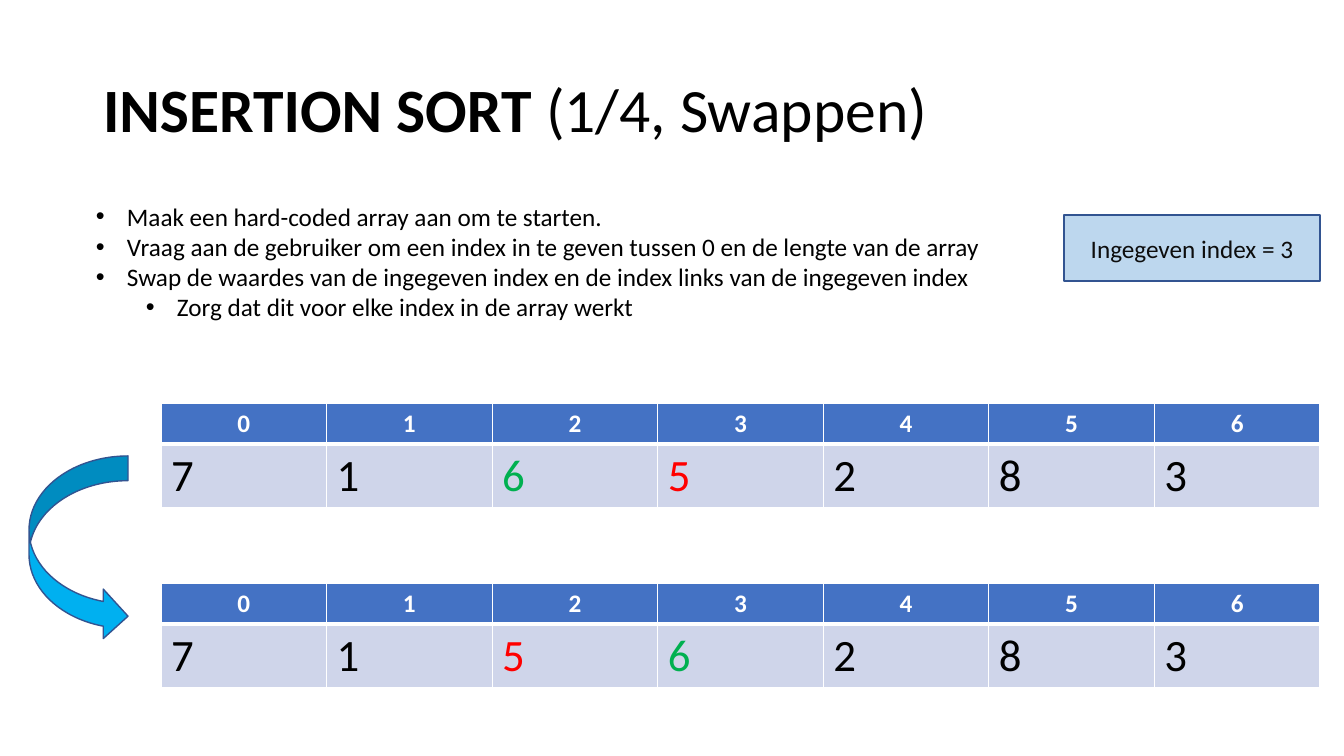
from dataclasses import dataclass

from lxml.etree import SubElement
from pptx import Presentation
from pptx.dml.color import RGBColor
from pptx.enum.shapes import MSO_SHAPE
from pptx.enum.text import MSO_ANCHOR, MSO_AUTO_SIZE, PP_ALIGN
from pptx.oxml.ns import qn
from pptx.util import Emu, Pt

TITLE = [("INSERTION SORT ", True), ("(1/4, Swappen)", False)]
STEPS = [
    (0, "Maak een hard-coded array aan om te starten."),
    (0, "Vraag aan de gebruiker om een index in te geven tussen 0 en de lengte van de array"),
    (0, "Swap de waardes van de ingegeven index en de index links van de ingegeven index"),
    (1, "Zorg dat dit voor elke index in de array werkt"),
]
INDEX_NOTE = "Ingegeven index = 3"
ARRAYS = [[7, 1, 6, 5, 2, 8, 3], [7, 1, 5, 6, 2, 8, 3]]


@dataclass(frozen=True)
class Theme:
    font: str = "Calibri"
    title_size: int = 44
    text_size: int = 18
    value_size: int = 32
    black: str = "000000"
    white: str = "FFFFFF"
    header: str = "4472C4"
    value_fill: str = "CFD5EA"
    note_fill: str = "BDD7EE"
    note_text: str = "0D0D0D"
    outline: str = "325491"
    arrow: str = "00B0F0"


THEME = Theme()
SWAP_COLORS = {6: "00B050", 5: "FF0000"}

# Places in px: left, top, width, height
SLIDE_SIZE = (1344, 756)
TITLE_AT = (93, 40, 1159, 146)
STEPS_AT = (86, 196, 1107, 132)
NOTE_AT = (1064, 215, 256, 66)
ARROW_AT = (29, 456, 99, 185)
TABLE_LEFT, TABLE_TOP, TABLE_WIDTH, TABLE_STEP = 161, 403, 1159, 180
ROW_HEIGHTS = (41, 64)
BULLET_INDENT, LEVEL_INDENT = 31, 50


def px(length):
    return Emu(round(length * 914400 / 100.8))


def place(box):
    return [px(length) for length in box]


def color(code):
    return RGBColor.from_string(code)


def set_font(target, size, code, bold=False):
    font = target.font
    font.name, font.size, font.bold = THEME.font, Pt(size), bold
    font.color.rgb = color(code)


def add_title(slide):
    title = slide.shapes.title
    title.left, title.top, title.width, title.height = place(TITLE_AT)
    frame = title.text_frame
    frame.auto_size = MSO_AUTO_SIZE.NONE
    frame.vertical_anchor = MSO_ANCHOR.MIDDLE
    para = frame.paragraphs[0]
    para.alignment, para.line_spacing = PP_ALIGN.LEFT, 0.9
    set_font(para, THEME.title_size, THEME.black)
    for text, bold in TITLE:
        span = para.add_run()
        span.text, span.font.bold = text, bold


def add_steps(slide):
    frame = slide.shapes.add_textbox(*place(STEPS_AT)).text_frame
    frame.word_wrap = True
    for number, (level, text) in enumerate(STEPS):
        para = frame.add_paragraph() if number else frame.paragraphs[0]
        para.text, para.level = text, level
        properties = para._p.get_or_add_pPr()
        properties.set("marL", str(px(BULLET_INDENT + level * LEVEL_INDENT)))
        properties.set("indent", str(-px(BULLET_INDENT)))
        SubElement(properties, qn("a:buFont")).set("typeface", "Arial")
        SubElement(properties, qn("a:buChar")).set("char", "•")
        set_font(para, THEME.text_size, THEME.black)


def add_outlined(slide, kind, box, fill):
    shape = slide.shapes.add_shape(kind, *place(box))
    shape.shadow.inherit = False
    shape.fill.solid()
    shape.fill.fore_color.rgb = color(fill)
    shape.line.color.rgb = color(THEME.outline)
    shape.line.width = Pt(1)
    return shape


def add_index_note(slide):
    frame = add_outlined(slide, MSO_SHAPE.RECTANGLE, NOTE_AT, THEME.note_fill).text_frame
    frame.vertical_anchor = MSO_ANCHOR.MIDDLE
    para = frame.paragraphs[0]
    para.text, para.alignment = INDEX_NOTE, PP_ALIGN.CENTER
    set_font(para, THEME.text_size, THEME.note_text)


def set_borders(cell, **widths):
    """Draw white borders, 1 pt unless a side (L, R, T, B) is given a width."""
    properties = cell._tc.get_or_add_tcPr()
    for position, side in enumerate("LRTB"):
        line = properties.makeelement(qn(f"a:ln{side}"), {"w": str(Pt(widths.get(side, 1)))})
        fill = SubElement(line, qn("a:solidFill"))
        SubElement(fill, qn("a:srgbClr")).set("val", THEME.white)
        properties.insert(position, line)


def fill_cell(cell, text, fill, size, code, bold=False, alignment=PP_ALIGN.LEFT):
    cell.fill.solid()
    cell.fill.fore_color.rgb = color(fill)
    para = cell.text_frame.paragraphs[0]
    para.text, para.alignment = str(text), alignment
    set_font(para, size, code, bold)


def add_array(slide, values, top):
    box = (TABLE_LEFT, top, TABLE_WIDTH, sum(ROW_HEIGHTS))
    table = slide.shapes.add_table(2, len(values), *place(box)).table
    for row, height in zip(table.rows, ROW_HEIGHTS):
        row.height = px(height)
    for index, value in enumerate(values):
        table.columns[index].width = px(TABLE_WIDTH / len(values))
        header, body = table.cell(0, index), table.cell(1, index)
        fill_cell(header, index, THEME.header, THEME.text_size, THEME.white,
                  bold=True, alignment=PP_ALIGN.CENTER)
        fill_cell(body, value, THEME.value_fill, THEME.value_size,
                  SWAP_COLORS.get(value, THEME.black))
        set_borders(header, B=3)
        set_borders(body, T=3)


def main():
    deck = Presentation()
    deck.slide_width, deck.slide_height = place(SLIDE_SIZE)
    slide = deck.slides.add_slide(deck.slide_layouts[5])
    add_title(slide)
    add_steps(slide)
    add_index_note(slide)
    for number, values in enumerate(ARRAYS):
        add_array(slide, values, TABLE_TOP + number * TABLE_STEP)
    add_outlined(slide, MSO_SHAPE.CURVED_RIGHT_ARROW, ARROW_AT, THEME.arrow)
    deck.save("out.pptx")


if __name__ == "__main__":
    main()
